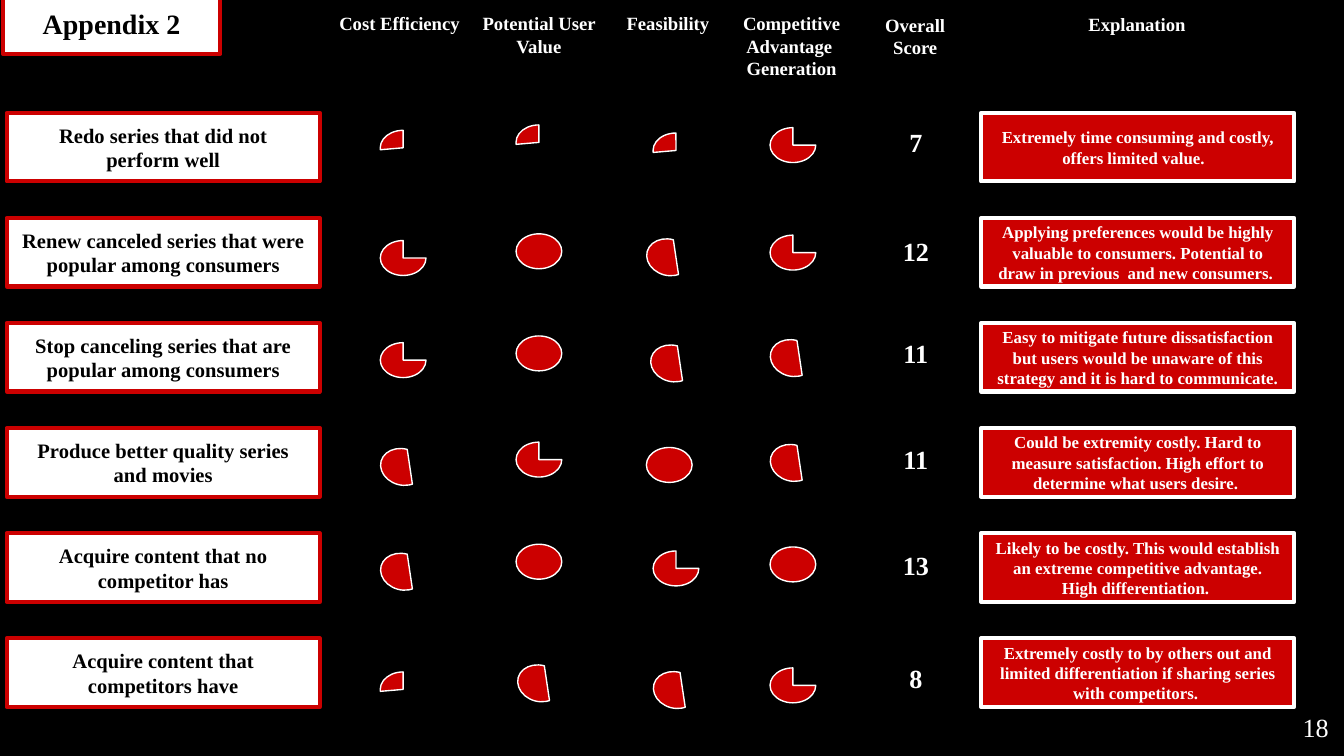
import pptx
import pptx.dml.color
import pptx.enum.shapes
import pptx.enum.text
import pptx.util

Inches = pptx.util.Inches
Pt = pptx.util.Pt
MSO_SHAPE = pptx.enum.shapes.MSO_SHAPE
ANCHOR = pptx.enum.text.MSO_ANCHOR

BLACK = pptx.dml.color.RGBColor(0x00, 0x00, 0x00)
WHITE = pptx.dml.color.RGBColor(0xFF, 0xFF, 0xFF)
RED = pptx.dml.color.RGBColor(0xCC, 0x00, 0x00)

# Rating symbol: preset, adjustments, width, height, rotation
RATINGS = {
    "quarter": (MSO_SHAPE.PIE, (105.02, 162), 0.34, 0.26, 0),
    "half": (MSO_SHAPE.CHORD, (27, 162), 0.33, 0.27, 15.1),
    "most": (MSO_SHAPE.PIE, (0, 162), 0.34, 0.26, 0),
    "full": (MSO_SHAPE.OVAL, (), 0.34, 0.26, 0),
}

# Criterion: left, top, width, height, paragraphs, anchor
CRITERIA = [
    (2.36, -0.01, 1.26, 0.37, ["Cost Efficiency "], ANCHOR.TOP),
    (3.38, -0.01, 1.26, 0.54, ["Potential User Value"], ANCHOR.TOP),
    (4.34, -0.01, 1.26, 0.37, ["Feasibility"], ANCHOR.TOP),
    (5.26, -0.01, 1.26, 0.71, ["Competitive Advantage ", "Generation"], ANCHOR.TOP),
    (6.18, 0, 1.26, 0.54, ["Overall", "Score"], ANCHOR.TOP),
    (7.83, -0.01, 1.26, 0.37, ["Explanation"], ANCHOR.BOTTOM),
]

# Strategy: name, ratings as (level, left, top), score, score top, explanation
STRATEGIES = [
    ("Redo series that did not perform well",
     [("quarter", 2.83, 0.97), ("quarter", 3.84, 0.93),
      ("quarter", 4.86, 0.99), ("most", 5.73, 0.95)],
     7, 0.84, "Extremely time consuming and costly, offers limited value.  "),
    ("Renew canceled series that were popular among consumers",
     [("most", 2.83, 1.79), ("full", 3.84, 1.74),
      ("half", 4.81, 1.78), ("most", 5.73, 1.75)],
     12, 1.65, "Applying preferences would be highly valuable to consumers. "
     "Potential to draw in previous  and new consumers. "),
    ("Stop canceling series that are popular among consumers",
     [("most", 2.83, 2.55), ("full", 3.84, 2.5),
      ("half", 4.84, 2.57), ("half", 5.73, 2.53)],
     11, 2.41, "Easy to mitigate future dissatisfaction but users would be "
     "unaware of this strategy and it is hard to communicate."),
    ("Produce better quality series and movies",
     [("half", 2.83, 3.34), ("most", 3.84, 3.29),
      ("full", 4.81, 3.33), ("half", 5.73, 3.31)],
     11, 3.2, "Could be extremity costly. Hard to measure satisfaction. "
     "High effort to determine what users desire. "),
    ("Acquire content that no competitor has",
     [("half", 2.83, 4.12), ("full", 3.84, 4.05),
      ("most", 4.86, 4.1), ("full", 5.73, 4.07)],
     13, 3.99, "Likely to be costly. This would establish an extreme "
     "competitive advantage. High differentiation. "),
    ("Acquire content that competitors have",
     [("quarter", 2.83, 5), ("half", 3.85, 4.95),
      ("half", 4.86, 5), ("most", 5.73, 4.97)],
     8, 4.83, "Extremely costly to by others out and limited "
     "differentiation if sharing series with competitors. "),
]

FIRST_ROW, LAST_ROW = 0.84, 4.75
ROW_STEP = (LAST_ROW - FIRST_ROW) / (len(STRATEGIES) - 1)


class ScoreSlide:
    font_name = "Times New Roman"
    frame_format = {
        "word_wrap": True,
        "auto_size": pptx.enum.text.MSO_AUTO_SIZE.NONE,
        "margin_left": Inches(0.1), "margin_right": Inches(0.1),
        "margin_top": Inches(0.1), "margin_bottom": Inches(0.1),
    }

    def __init__(self, slide):
        self.slide = slide
        slide.background.fill.solid()
        slide.background.fill.fore_color.rgb = BLACK

    def set_text(self, shape, paragraphs, size, color, bold=True, anchor=ANCHOR.TOP):
        frame = shape.text_frame
        for name, value in {**self.frame_format, "vertical_anchor": anchor}.items():
            setattr(frame, name, value)
        frame.text = "\n".join(paragraphs)
        font_format = {"name": self.font_name, "size": Pt(size), "bold": bold}
        for paragraph in frame.paragraphs:
            paragraph.alignment = pptx.enum.text.PP_ALIGN.CENTER
            for run in paragraph.runs:
                for name, value in font_format.items():
                    setattr(run.font, name, value)
                run.font.color.rgb = color

    def paint(self, shape, fill, line, weight):
        shape.fill.solid()
        shape.fill.fore_color.rgb = fill
        shape.line.color.rgb = line
        shape.line.width = Pt(weight)

    def add(self, preset, left, top, width, height, fill, line, weight):
        shape = self.slide.shapes.add_shape(
            preset, Inches(left), Inches(top), Inches(width), Inches(height))
        shape.shadow.inherit = False
        self.paint(shape, fill, line, weight)
        return shape

    def title(self, text, left, top, width, height):
        title = self.slide.shapes.title
        place = {"left": left, "top": top, "width": width, "height": height}
        for name, value in place.items():
            setattr(title, name, Inches(value))
        self.paint(title, WHITE, RED, 2.25)
        self.set_text(title, [text], 15, BLACK)

    def text(self, left, top, width, height, paragraphs, size, **style):
        box = self.slide.shapes.add_textbox(
            Inches(left), Inches(top), Inches(width), Inches(height))
        self.set_text(box, paragraphs, size, WHITE, **style)

    def card(self, left, top, text, size, fill, line, color):
        card = self.add(MSO_SHAPE.RECTANGLE, left, top, 2.33, 0.51, fill, line, 2.25)
        self.set_text(card, [text], size, color, anchor=ANCHOR.MIDDLE)

    def rating(self, level, left, top):
        preset, angles, width, height, rotation = RATINGS[level]
        symbol = self.add(preset, left, top, width, height, RED, WHITE, 0.75)
        symbol.rotation = rotation
        for index, angle in enumerate(angles):
            symbol.adjustments[index] = angle


def main():
    deck = pptx.Presentation()
    deck.slide_width = Inches(10)
    deck.slide_height = deck.slide_width * 9 // 16
    title_only = deck.slide_layouts[5]
    page = ScoreSlide(deck.slides.add_slide(title_only))

    page.title("Appendix 2", 0.02, -0.05, 1.62, 0.45)
    for left, top, width, height, heading, anchor in CRITERIA:
        page.text(left, top, width, height, heading, 10, anchor=anchor)

    for row, (strategy, ratings, score, score_top, reason) in enumerate(STRATEGIES):
        top = FIRST_ROW + row * ROW_STEP
        page.card(0.05, top, strategy, 11, WHITE, RED, BLACK)
        for level, left, rating_top in ratings:
            page.rating(level, left, rating_top)
        page.text(6.6, score_top, 0.43, 0.44, [str(score)], 14)
        page.card(7.3, top, reason, 9, RED, WHITE, WHITE)

    page.text(9.58, 5.19, 0.42, 0.44, ["18"], 14, bold=False)
    deck.save("out.pptx")


if __name__ == "__main__":
    main()
